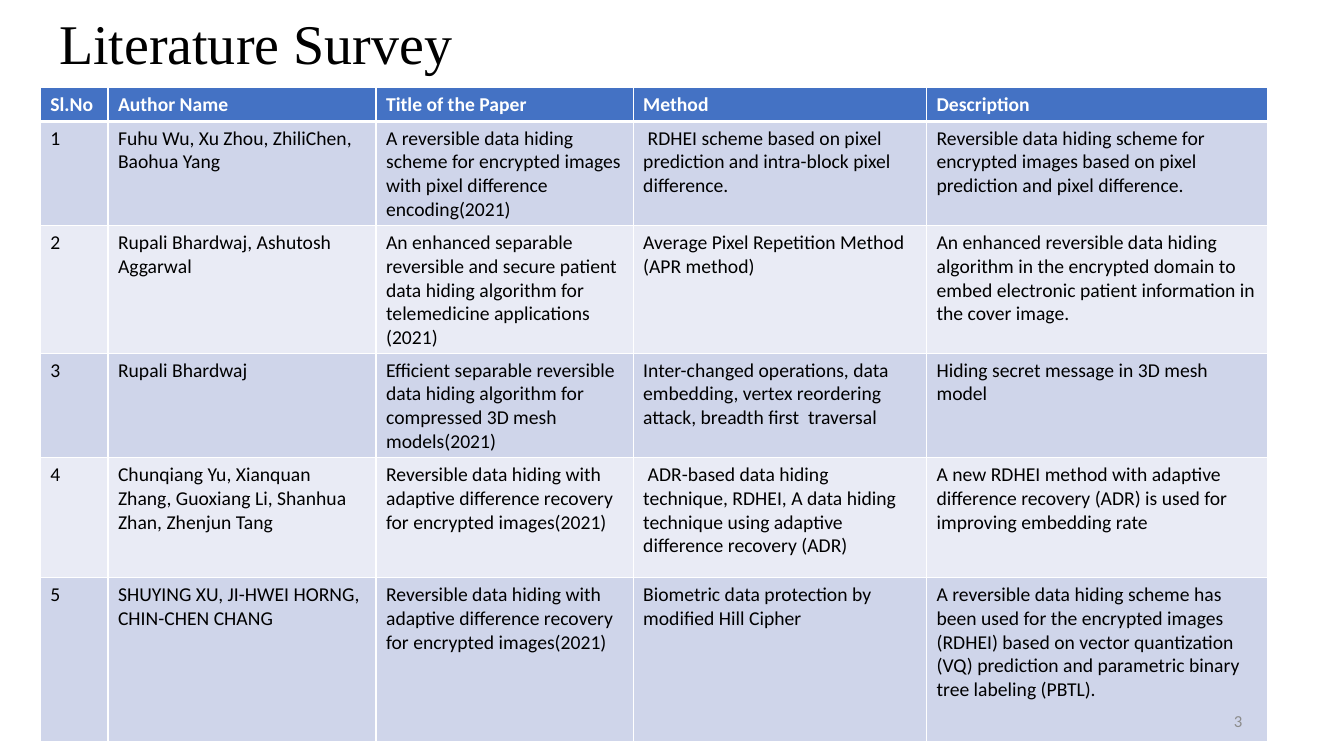
from lxml import etree
from pptx import Presentation
from pptx import util as u
from pptx.dml import color
from pptx.enum import text
from pptx.oxml import ns

HUES = {
    "ink": "000000", "paper": "FFFFFF", "head": "4472C4",
    "odd": "CFD5EA", "even": "E9EBF5", "page": "8C8C8C",
}
COLS = [5.03, 19.95, 19.13, 21.83, 25.35]
ROWS = [4.27, 13.07, 16, 13.07, 15.87, 21.73]
HEAD = ["Sl.No", "Author Name", "Title of the Paper", "Method", "Description"]
PAPERS = [
    ["Fuhu Wu, Xu Zhou, ZhiliChen, Baohua Yang",
     "A reversible data hiding scheme for encrypted images with pixel difference encoding(2021)",
     " RDHEI scheme based on pixel prediction and intra-block pixel difference.",
     "Reversible data hiding scheme for encrypted images based on pixel prediction and pixel difference."],
    ["Rupali Bhardwaj, Ashutosh Aggarwal",
     "An enhanced separable reversible and secure patient data hiding algorithm "
     "for telemedicine applications\n(2021)",
     "Average Pixel Repetition Method (APR method)",
     "An enhanced reversible data hiding algorithm in the encrypted domain to embed "
     "electronic patient information in the cover image."],
    ["Rupali Bhardwaj",
     "Efficient separable reversible data hiding algorithm for compressed 3D mesh models(2021)",
     "Inter-changed operations, data embedding, vertex reordering attack, breadth first  traversal",
     "Hiding secret message in 3D mesh model"],
    ["Chunqiang Yu, Xianquan Zhang, Guoxiang Li, Shanhua Zhan, Zhenjun Tang",
     "Reversible data hiding with adaptive difference recovery for encrypted images(2021)",
     " ADR-based data hiding technique, RDHEI, A data hiding technique using "
     "adaptive difference recovery (ADR)",
     "A new RDHEI method with adaptive difference recovery (ADR) is used for improving embedding rate"],
    ["SHUYING XU, JI-HWEI HORNG, CHIN-CHEN CHANG",
     "Reversible data hiding with adaptive difference recovery for encrypted images(2021)",
     "Biometric data protection by modified Hill Cipher",
     "A reversible data hiding scheme has been used for the encrypted images (RDHEI) based on "
     "vector quantization (VQ) prediction and parametric binary tree labeling (PBTL)."],
]


class Deck:
    font = "Calibri"
    grid = 100

    def __init__(self):
        self.prs = Presentation()
        self.prs.slide_width = u.Inches(13.33)
        self.prs.slide_height = u.Inches(7.5)
        self.slide = self.prs.slides.add_slide(self.prs.slide_layouts[6])

    def wide(self, cols):
        return round(self.prs.slide_width * cols / self.grid)

    def high(self, rows):
        return round(self.prs.slide_height * rows / self.grid)

    def area(self, x, y, w, h):
        return self.wide(x), self.high(y), self.wide(w), self.high(h)

    def hue(self, name):
        return color.RGBColor.from_string(HUES[name])

    def prose(self, frame, words, size, hue, font=None, bold=False, align=None, space=None):
        for n, line in enumerate(words.split("\n")):
            para = frame.add_paragraph() if n else frame.paragraphs[0]
            para.alignment = align
            para.line_spacing = space
            run = para.add_run()
            run.text = line
            run.font.name = font or self.font
            run.font.size = u.Pt(size)
            run.font.bold = bold
            run.font.color.rgb = self.hue(hue)

    def label(self, box, words, size, hue, **style):
        frame = self.slide.shapes.add_textbox(*self.area(*box)).text_frame
        frame.word_wrap = True
        frame.vertical_anchor = text.MSO_ANCHOR.MIDDLE
        self.prose(frame, words, size, hue, **style)

    def edge(self, cell, top, base):
        props = cell._tc.get_or_add_tcPr()
        for n, (side, width) in enumerate(zip("LRTB", (1, 1, top, base))):
            line = etree.Element(ns.qn("a:ln" + side), w=str(u.Pt(width)))
            fill = etree.SubElement(line, ns.qn("a:solidFill"))
            etree.SubElement(fill, ns.qn("a:srgbClr"), val=HUES["paper"])
            props.insert(n, line)

    def table(self, x, y, cols, rows, data):
        box = self.area(x, y, sum(cols), sum(rows))
        table = self.slide.shapes.add_table(len(rows), len(cols), *box).table
        for col, width in zip(table.columns, cols):
            col.width = self.wide(width)
        for row, height in zip(table.rows, rows):
            row.height = self.high(height)
        for r, line in enumerate(data):
            fill = "head" if r == 0 else "odd" if r % 2 else "even"
            for c, words in enumerate(line):
                cell = table.cell(r, c)
                cell.fill.solid()
                cell.fill.fore_color.rgb = self.hue(fill)
                self.edge(cell, 3 if r == 1 else 1, 3 if r == 0 else 1)
                self.prose(cell.text_frame, words, 14, "ink" if r else "paper", bold=r == 0)


def main():
    deck = Deck()
    deck.label((-0.6, 0.93, 39.24, 10.53), "Literature Survey", 40, "ink",
               font="Times New Roman", align=text.PP_ALIGN.CENTER, space=0.9)
    body = [[str(n), *paper] for n, paper in enumerate(PAPERS, 1)]
    deck.table(3, 11.6, COLS, ROWS, [HEAD, *body])
    deck.label((70.67, 92.67, 22.5, 5.33), "3", 12, "page", align=text.PP_ALIGN.RIGHT)
    deck.prs.save("out.pptx")


if __name__ == "__main__":
    main()
